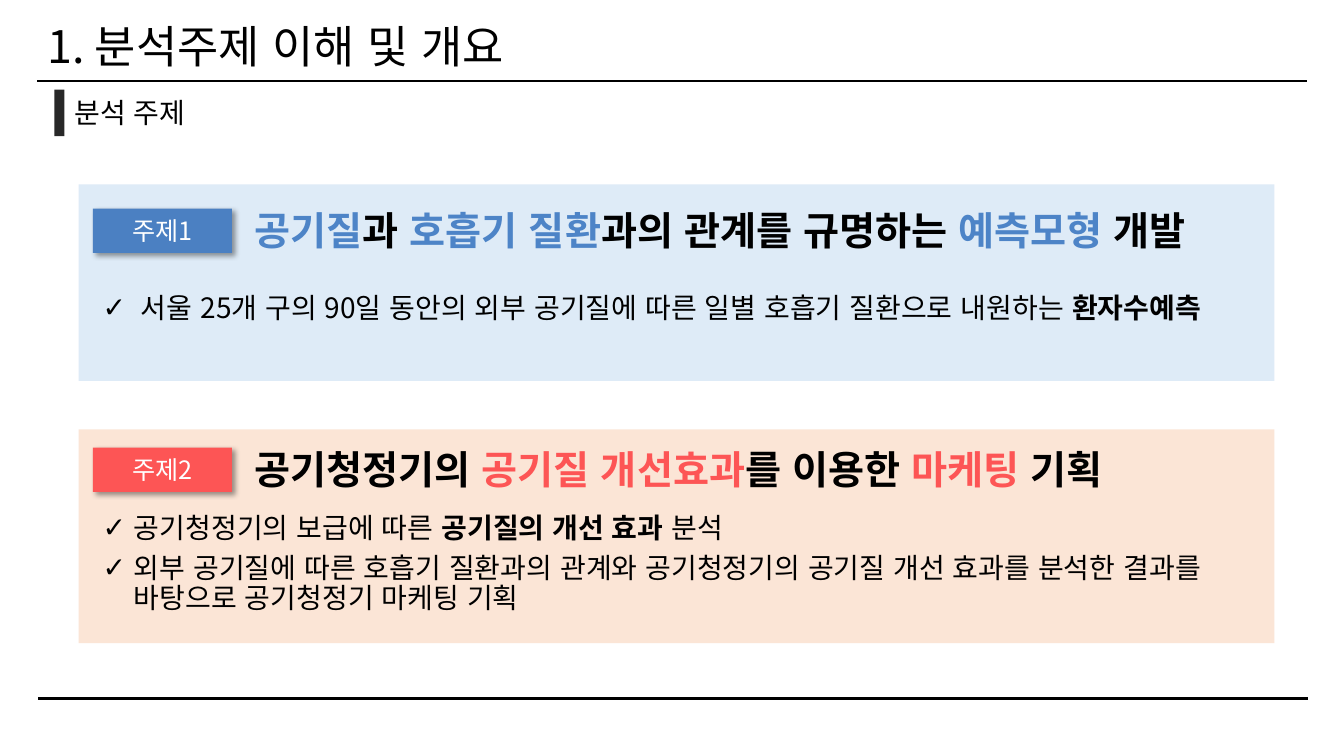
from lxml import etree
from pptx import Presentation
from pptx import util as u
from pptx.dml.color import RGBColor
from pptx.enum import lang, shapes, text
from pptx.oxml import ns

PX = 9144
FONT = "Noto Sans CJK KR"
BLACK, WHITE, DARK = "000000", "FFFFFF", "282828"
BLUE, BLUE_TAG, BLUE_PANEL = "4D84C7", "4B80C2", "DEEBF7"
RED, RED_PANEL = "FD5555", "FBE5D6"


def px(*lengths):
    return [u.Emu(length * PX) for length in lengths]


def color(value):
    return RGBColor.from_string(value)


def add_element(parent, tag, **attributes):
    return etree.SubElement(parent, ns.qn(tag), attributes)


def add_spans(para, spans, size):
    for words, hue, bold in spans:
        span = para.add_run()
        span.text = words
        span.font.language_id = lang.MSO_LANGUAGE_ID.KOREAN
        span.font.size = u.Pt(size)
        span.font.name = FONT
        span.font.bold = bold
        span.font.color.rgb = color(hue)
        add_element(span._r.get_or_add_rPr(), "a:ea", typeface=FONT)


def add_rule(page, left, right, top):
    start, end, level = px(left, right, top)
    rule = page.shapes.add_connector(shapes.MSO_CONNECTOR.STRAIGHT, start, level, end, level)
    rule.line.color.rgb = color(BLACK)
    rule.line.width = u.Pt(1.5)
    add_element(rule._element.spPr, "a:effectLst")


def add_rect(parts, box, fill):
    rect = parts.add_shape(shapes.MSO_SHAPE.RECTANGLE, *px(*box))
    rect.shadow.inherit = False
    rect.fill.solid()
    rect.fill.fore_color.rgb = color(fill)
    rect.line.fill.background()
    return rect


def add_text(parts, box, spans, size, wrap=True):
    frame = parts.add_textbox(*px(*box)).text_frame
    frame.word_wrap = wrap
    add_spans(frame.paragraphs[0], spans, size)


def add_tag(parts, box, words, fill):
    tag = add_rect(parts, box, fill)
    effects = tag._element.spPr.find(ns.qn("a:effectLst"))
    shadow = add_element(effects, "a:outerShdw", blurRad=str(u.Pt(4)), dist=str(u.Pt(3)),
                         dir="2700000", algn="tl", rotWithShape="0")
    add_element(add_element(shadow, "a:srgbClr", val=BLACK), "a:alpha", val="40000")
    frame = tag.text_frame
    frame.vertical_anchor = text.MSO_ANCHOR.MIDDLE
    frame.paragraphs[0].alignment = text.PP_ALIGN.CENTER
    add_spans(frame.paragraphs[0], [(words, WHITE, False)], 18)


def add_checklist(parts, box, items, indent):
    frame = parts.add_textbox(*px(*box)).text_frame
    frame.word_wrap = True
    for number, spans in enumerate(items):
        para = frame.add_paragraph() if number else frame.paragraphs[0]
        para.line_spacing = 0.9
        para.space_after = u.Pt(7)
        properties = para._p.get_or_add_pPr()
        properties.set("marL", str(indent * PX))
        properties.set("indent", str(-indent * PX))
        add_element(properties, "a:buFont", typeface="Arial")
        add_element(properties, "a:buChar", char="✓")
        add_spans(para, spans, 20)


def add_header(page, box, words):
    left, top, width, height = box
    title = page.shapes.title
    title.left, title.top, title.width, title.height = px(*box)
    frame = title.text_frame
    frame.word_wrap = True
    frame.vertical_anchor = text.MSO_ANCHOR.MIDDLE
    para = frame.paragraphs[0]
    para.alignment = text.PP_ALIGN.LEFT
    para.line_spacing = 0.9
    add_spans(para, [(words, BLACK, False)], 32)
    add_rule(page, left, left + width, top + height + 2)


def add_section(page, box, words):
    left, top, width, height = box
    add_rect(page.shapes, (left, top, 10, height), DARK)
    add_text(page.shapes, (left + 10, top + 1, width - 10, height - 2),
             [(words, BLACK, False)], 20)


def add_topic(page, box, topic):
    left, top, width, height = box
    parts = page.shapes.add_group_shape().shapes
    add_rect(parts, box, topic["panel"])
    tag_top = top + topic["tag_offset"]
    add_tag(parts, (left + 14, tag_top, 138, 44), topic["tag"], topic["tag_fill"])
    add_text(parts, (left + 165, tag_top - 7, topic["heading_width"], 57),
             topic["heading"], 28, wrap=False)
    list_top = top + topic["list_offset"]
    add_checklist(parts, (left + 14, list_top, width - 45, topic["list_height"]),
                  topic["items"], topic["indent"])


AIR_TOPIC = dict(
    panel=BLUE_PANEL, tag="주제1", tag_fill=BLUE_TAG, tag_offset=24, heading_width=969,
    heading=[("공기질", BLUE, True), ("과 ", BLACK, True), ("호흡기 질환", BLUE, True),
             ("과의 관계를 규명하는 ", BLACK, True), ("예측모형", BLUE, True),
             (" 개발", BLACK, True)],
    list_offset=104, list_height=40, indent=38,
    items=[[("서울 25개 구의 90일 동안의 외부 공기질에 따른 일별 호흡기 질환으로 내원하는 ", BLACK, False),
            ("환자수예측", BLACK, True)]])

MARKETING_TOPIC = dict(
    panel=RED_PANEL, tag="주제2", tag_fill=RED, tag_offset=18, heading_width=867,
    heading=[("공기청정기의 ", BLACK, True), ("공기질 개선효과", RED, True),
             ("를 이용한 ", BLACK, True), ("마케팅", RED, True), (" 기획", BLACK, True)],
    list_offset=79, list_height=113, indent=31,
    items=[[("공기청정기의 보급에 따른 ", BLACK, False), ("공기질의 개선 효과 ", BLACK, True),
            ("분석", BLACK, False)],
           [("외부 공기질에 따른 호흡기 질환과의 관계와 공기청정기의 공기질 개선 효과를 분석한 결과를 "
             "바탕으로 공기청정기 마케팅 기획", BLACK, False)]])


def main():
    deck = Presentation()
    deck.slide_width, deck.slide_height = px(1333, 750)
    page = deck.slides.add_slide(deck.slide_layouts[5])
    add_header(page, (37, 20, 1259, 58), "1. 분석주제 이해 및 개요")
    add_rule(page, 38, 1297, 693)
    add_section(page, (54, 89, 280, 46), "분석 주제")
    add_topic(page, (78, 183, 1186, 195), AIR_TOPIC)
    add_topic(page, (78, 426, 1186, 212), MARKETING_TOPIC)
    deck.save("out.pptx")


if __name__ == "__main__":
    main()
